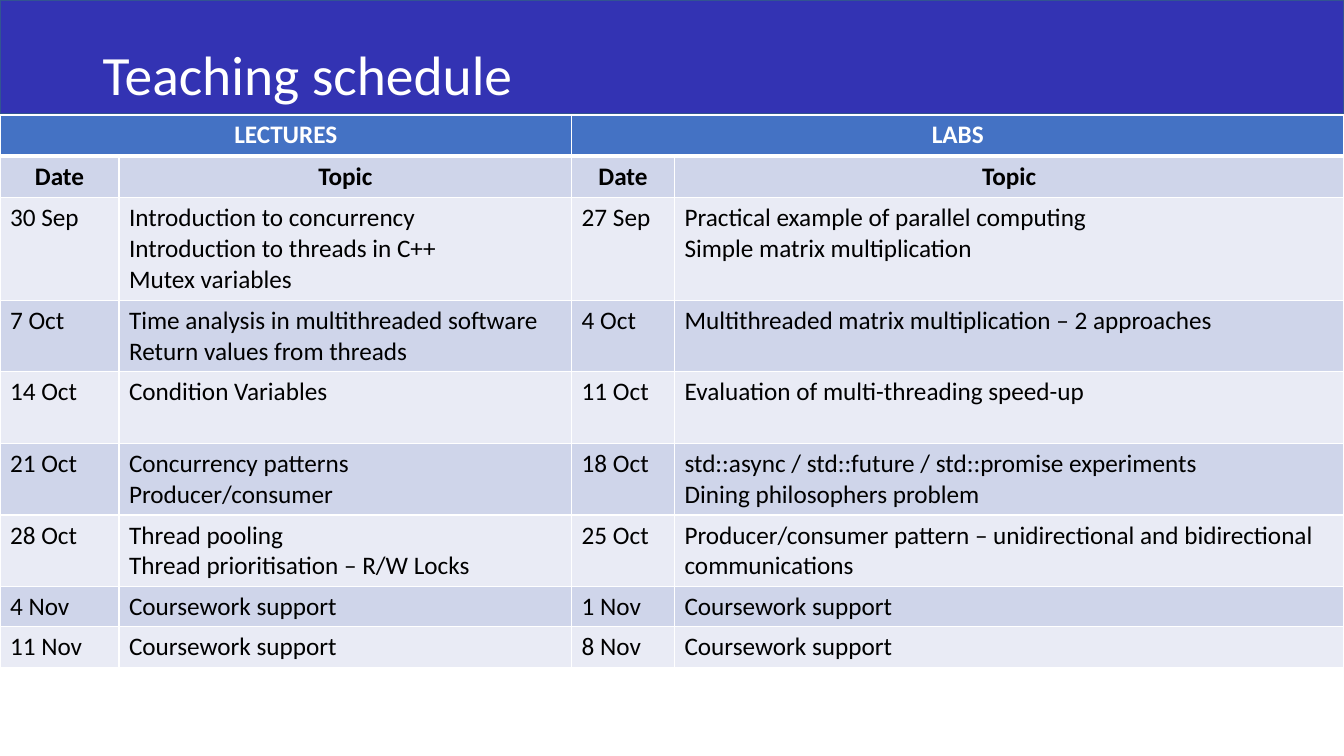
from dataclasses import dataclass

from lxml import etree
from pptx import Presentation
from pptx import util as u
from pptx.dml.color import RGBColor
from pptx.enum import shapes, text
from pptx.oxml import ns

NAVY = RGBColor(0x33, 0x33, 0xB3)
EDGE = RGBColor(0x32, 0x54, 0x91)
BLUE = RGBColor(0x44, 0x72, 0xC4)
DARK = RGBColor(0xCF, 0xD5, 0xEA)
PALE = RGBColor(0xE9, 0xEB, 0xF5)
WHITE = RGBColor(0xFF, 0xFF, 0xFF)
BLACK = RGBColor(0, 0, 0)

WIDTH, HEIGHT = 13.33, 7.5
COLS = (1.18, 4.49, 1.02, 6.64)

HEAD = {"size": u.Pt(18), "name": "Calibri", "bold": True}
BODY = {**HEAD, "bold": False}
TITLE = {"size": u.Pt(39.6), "name": "Calibri"}


@dataclass
class Row:
    """One table row: its height and four cell texts."""
    height: float
    cells: tuple[str, str, str, str]


# Schedule: lecture date and topic, lab date and topic
ROWS = [
    Row(0.41, ("LECTURES", "", "LABS", "")),
    Row(0.41, ("Date", "Topic", "Date", "Topic")),
    Row(1.02, ("30 Sep",
               "Introduction to concurrency\vIntroduction to threads in C++\nMutex variables",
               "27 Sep",
               "Practical example of parallel computing\nSimple matrix multiplication")),
    Row(0.71, ("7 Oct",
               "Time analysis in multithreaded software\nReturn values from threads",
               "4 Oct", "Multithreaded matrix multiplication – 2 approaches")),
    Row(0.71, ("14 Oct", "Condition Variables",
               "11 Oct", "Evaluation of multi-threading speed-up")),
    Row(0.71, ("21 Oct", "Concurrency patterns\nProducer/consumer", "18 Oct",
               "std::async / std::future / std::promise experiments\n"
               "Dining philosophers problem")),
    Row(0.71, ("28 Oct", "Thread pooling\nThread prioritisation – R/W Locks", "25 Oct",
               "Producer/consumer pattern – unidirectional and bidirectional communications")),
    Row(0.4, ("4 Nov", "Coursework support", "1 Nov", "Coursework support")),
    Row(0.4, ("11 Nov", "Coursework support", "8 Nov", "Coursework support")),
]


def style(font, form: dict, color: RGBColor) -> None:
    for key, value in form.items():
        setattr(font, key, value)
    font.color.rgb = color


def border(cell, widths: dict[str, float]) -> None:
    """Give the cell white borders; widths are in points by side."""
    props = cell._tc.get_or_add_tcPr()
    for side, width in widths.items():
        line = etree.SubElement(props, ns.qn(f"a:ln{side}"), w=str(u.Pt(width)))
        fill = etree.SubElement(line, ns.qn("a:solidFill"))
        etree.SubElement(fill, ns.qn("a:srgbClr"), val=str(WHITE))


def draw_band(slide) -> None:
    band = slide.shapes.add_shape(shapes.MSO_SHAPE.RECTANGLE, 0, 0,
                                  u.Inches(WIDTH), u.Inches(1.13))
    band.shadow.inherit = False
    band.fill.solid()
    band.fill.fore_color.rgb = NAVY
    band.line.color.rgb = EDGE
    band.line.width = u.Pt(1)


def draw_title(slide) -> None:
    box = slide.shapes.add_textbox(u.Inches(0.92), u.Inches(0.4),
                                   u.Inches(11.5), u.Inches(0.73))
    frame = box.text_frame
    frame.word_wrap = True
    frame.vertical_anchor = text.MSO_ANCHOR.MIDDLE
    frame.text = "Teaching schedule"
    para = frame.paragraphs[0]
    para.line_spacing = 0.9
    style(para.runs[0].font, TITLE, WHITE)


def fill_cell(cell, words: str, row: int) -> None:
    border(cell, {"L": 1, "R": 1, "T": 3 if row == 1 else 1, "B": 3 if row == 0 else 1})
    cell.fill.solid()
    cell.fill.fore_color.rgb = BLUE if row == 0 else DARK if row % 2 else PALE
    cell.text = words
    for para in cell.text_frame.paragraphs:
        if row < 2:
            para.alignment = text.PP_ALIGN.CENTER
        for run in para.runs:
            style(run.font, HEAD if row < 2 else BODY, BLACK if row else WHITE)


def draw_table(slide) -> None:
    table = slide.shapes.add_table(
        len(ROWS), len(COLS), 0, u.Inches(1.14), u.Inches(WIDTH),
        u.Inches(sum(row.height for row in ROWS))).table
    for col, width in zip(table.columns, COLS):
        col.width = u.Inches(width)
    for i, row in enumerate(ROWS):
        table.rows[i].height = u.Inches(row.height)
        for j, words in enumerate(row.cells):
            fill_cell(table.cell(i, j), words, i)
    # Each heading spans its date and topic columns
    for j in (0, 2):
        table.cell(0, j).merge(table.cell(0, j + 1))


def main() -> None:
    deck = Presentation()
    deck.slide_width, deck.slide_height = u.Inches(WIDTH), u.Inches(HEIGHT)
    slide = deck.slides.add_slide(deck.slide_layouts[6])
    draw_band(slide)
    draw_title(slide)
    draw_table(slide)
    deck.save("out.pptx")


if __name__ == "__main__":
    main()
